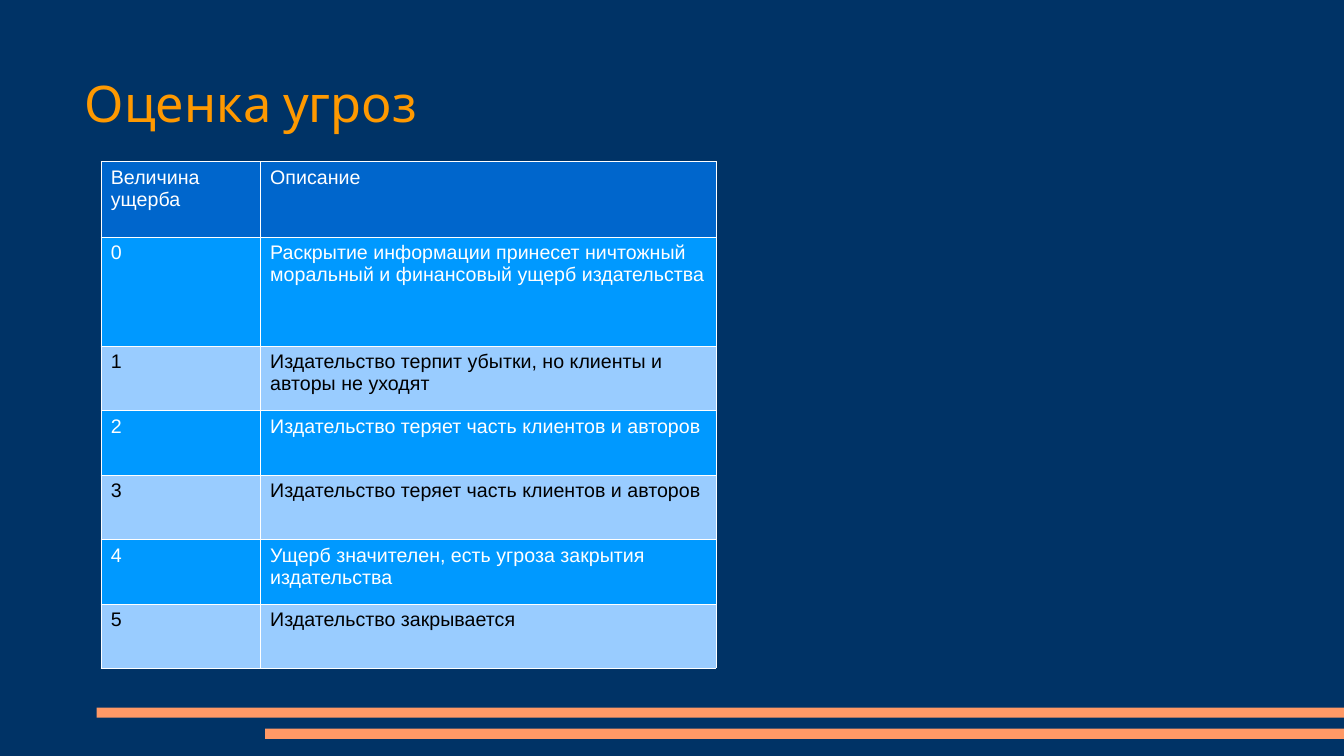
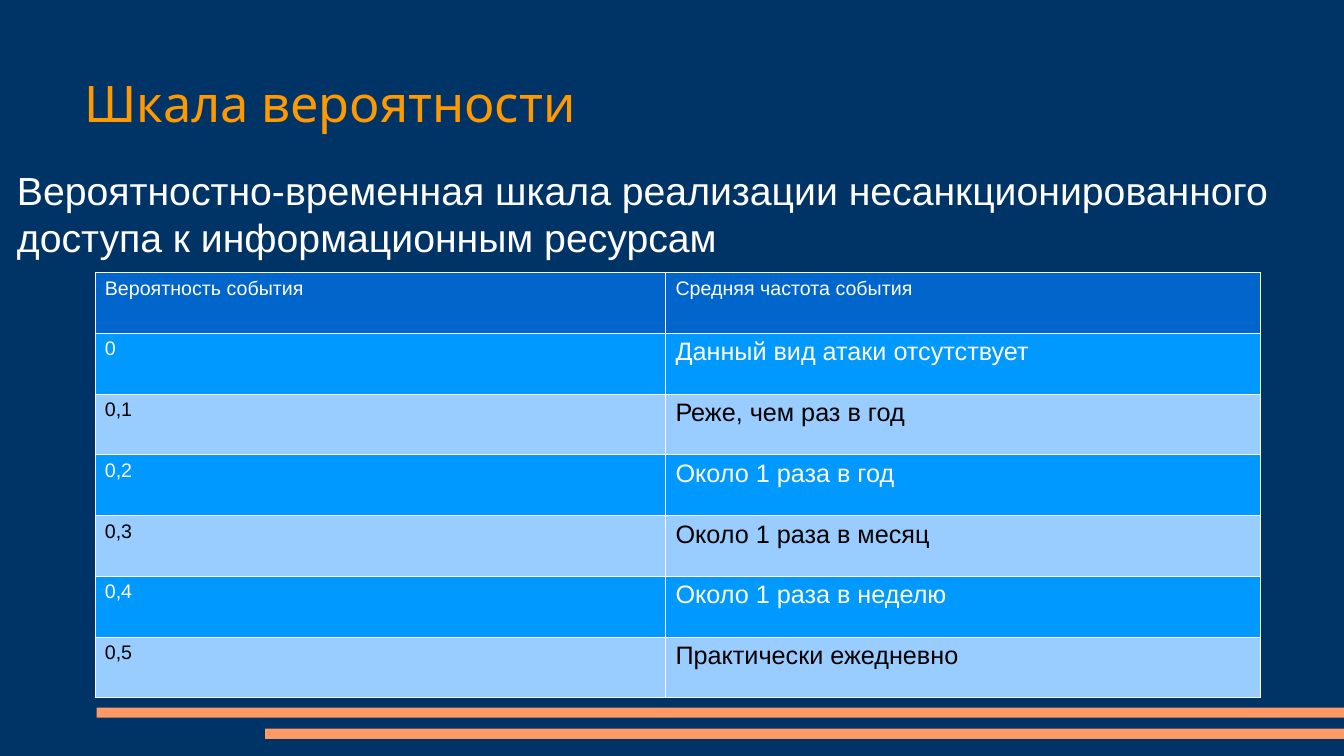
from lxml import etree
from pptx import Presentation
from pptx.dml.color import RGBColor
from pptx.enum import shapes, text
from pptx.oxml.ns import qn
from pptx.util import Inches, Pt

COLORS = {
    "background": "003366",
    "bar": "FF9966",
    "title": "FF9900",
    "header": "0066CC",
    "dark_row": "0099FF",
    "light_row": "99CCFF",
    "white": "FFFFFF",
    "black": "000000",
}
TITLE_FONT, BODY_FONT = "Karla", "Arial"
SLIDE_W, SLIDE_H = 13.33, 7.5

DAMAGE_ROWS = [
    ("Величина ущерба", "Описание"),
    ("0", "Раскрытие информации принесет ничтожный моральный и финансовый "
          "ущерб издательства"),
    ("1", "Издательство терпит убытки, но клиенты и авторы не уходят"),
    ("2", "Издательство теряет часть клиентов и авторов"),
    ("3", "Издательство теряет часть клиентов и авторов"),
    ("4", "Ущерб значителен, есть угроза закрытия издательства"),
    ("5", "Издательство закрывается"),
]
PROBABILITY_ROWS = [
    ("Вероятность события", "Средняя частота события"),
    ("0", "Данный вид атаки отсутствует"),
    ("0,1", "Реже, чем раз в год"),
    ("0,2", "Около 1 раза в год"),
    ("0,3", "Около 1 раза в месяц"),
    ("0,4", "Около 1 раза в неделю"),
    ("0,5", "Практически ежедневно"),
]


def rgb(name):
    return RGBColor.from_string(COLORS[name])


def style(p, font, size, color, align=text.PP_ALIGN.LEFT):
    p.alignment = align
    p.font.name = font
    p.font.size = Pt(size)
    p.font.color.rgb = rgb(color)


def set_up_template(prs):
    """Set the shared background and title box; return the title layout."""
    fill = prs.slide_master.background.fill
    fill.solid()
    fill.fore_color.rgb = rgb("background")
    layout = prs.slide_layouts[5]
    title = layout.placeholders[0]
    title.left, title.top = Inches(0.74), Inches(0.67)
    title.width, title.height = Inches(9.4), Inches(1.44)
    title.text_frame.vertical_anchor = text.MSO_ANCHOR.TOP
    title.text_frame.auto_size = text.MSO_AUTO_SIZE.NONE
    return layout


def add_bars(slide):
    """Draw the two bars that run to the right edge of the slide."""
    for left, top in ((0.96, 7.02), (2.63, 7.23)):
        bar = slide.shapes.add_shape(
            shapes.MSO_SHAPE.RECTANGLE, Inches(left), Inches(top),
            Inches(SLIDE_W - left), Inches(0.1))
        bar.shadow.inherit = False
        bar.fill.solid()
        bar.fill.fore_color.rgb = rgb("bar")
        bar.line.fill.background()


def add_titled_slide(prs, layout, title):
    slide = prs.slides.add_slide(layout)
    add_bars(slide)
    slide.shapes.title.text = title
    style(slide.shapes.title.text_frame.paragraphs[0], TITLE_FONT, 36, "title")
    return slide


def add_intro(slide, left, top, width, height, words):
    tf = slide.shapes.add_textbox(
        Inches(left), Inches(top), Inches(width), Inches(height)).text_frame
    tf.word_wrap = True
    tf.text = words
    style(tf.paragraphs[0], BODY_FONT, 28, "white")


def add_cell_borders(cell):
    props = cell._tc.get_or_add_tcPr()
    for side in ("lnL", "lnR", "lnT", "lnB"):
        line = etree.SubElement(props, qn(f"a:{side}"), w=str(Pt(0.06)))
        fill = etree.SubElement(line, qn("a:solidFill"))
        etree.SubElement(fill, qn("a:srgbClr"), val=COLORS["white"])


def row_colors(row):
    """Return the fill and text colours of a table row."""
    if row == 0:
        return "header", "white"
    return ("dark_row", "white") if row % 2 else ("light_row", "black")


def add_scale_table(slide, left, top, col_widths, row_heights, rows,
                    text_size=14, align=text.PP_ALIGN.LEFT):
    """Add a two-column scale; text_size applies to its descriptions."""
    table = slide.shapes.add_table(
        len(rows), len(col_widths), Inches(left), Inches(top),
        Inches(sum(col_widths)), Inches(sum(row_heights))).table
    for column, width in zip(table.columns, col_widths):
        column.width = Inches(width)
    for r, (height, values) in enumerate(zip(row_heights, rows)):
        table.rows[r].height = Inches(height)
        fill, color = row_colors(r)
        for c, value in enumerate(values):
            cell = table.cell(r, c)
            add_cell_borders(cell)
            cell.fill.solid()
            cell.fill.fore_color.rgb = rgb(fill)
            cell.text = value
            size = text_size if r and c else 14
            style(cell.text_frame.paragraphs[0], BODY_FONT, size, color, align)


def add_damage_slide(prs, layout):
    slide = add_titled_slide(prs, layout, "Оценка угроз")
    add_scale_table(slide, 1, 1.6, (1.58, 4.52), [0.75, 1.08] + [0.64] * 5,
                    DAMAGE_ROWS)


def add_probability_slide(prs, layout):
    slide = add_titled_slide(prs, layout, "Шкала вероятности")
    add_intro(slide, 0.07, 1.6, 13.13, 1.56,
              "Вероятностно-временная шкала реализации несанкционированного "
              "доступа к информационным ресурсам")
    count = len(PROBABILITY_ROWS)
    add_scale_table(slide, 0.94, 2.7, (5.66, 5.9), [4.22 / count] * count,
                    PROBABILITY_ROWS, 18, text.PP_ALIGN.JUSTIFY)


def main():
    prs = Presentation()
    prs.slide_width, prs.slide_height = Inches(SLIDE_W), Inches(SLIDE_H)
    layout = set_up_template(prs)
    add_damage_slide(prs, layout)
    add_probability_slide(prs, layout)
    prs.save("out.pptx")


if __name__ == "__main__":
    main()
